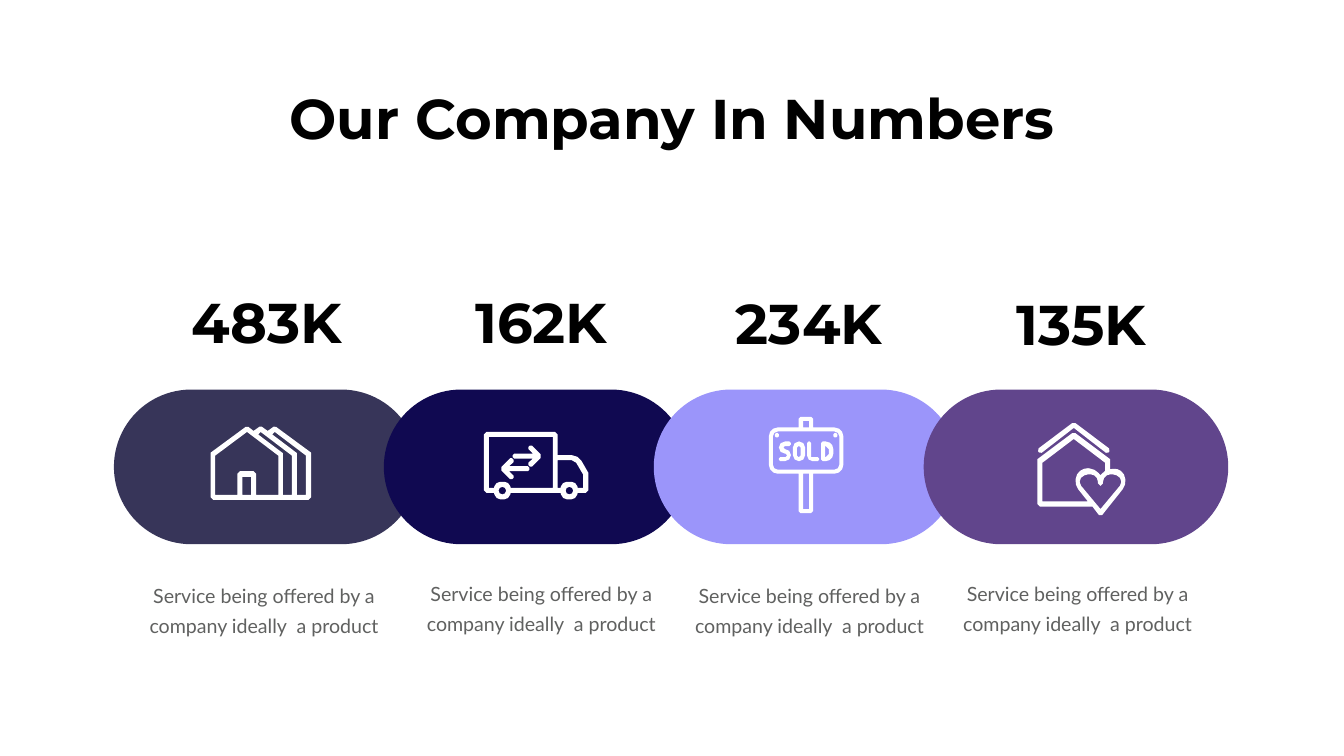
import math
import pptx
import pptx.dml.color
import pptx.enum.shapes
import pptx.enum.text
import pptx.util

Pt = pptx.util.Pt
HUES = {
    "slate": "373559", "navy": "100951", "lilac": "9B95FA", "plum": "61458C",
    "white": "FFFFFF", "black": "000000", "gray": "606160",
}
HEAD = {"size": Pt(80), "name": "Montserrat", "bold": True}
BODY = {"size": Pt(28), "name": "Lato", "bold": False}
UNIT = 0.72
FINE = 10


def box(left, top, right, low, bend=0):
    return [(left, top, bend), (right, top, bend), (right, low, bend), (left, low, bend)]


def trace(ring):
    dots = []
    for i, (x, y, *bend) in enumerate(ring):
        size = bend[0] if bend else 0
        ends = []
        for near in (ring[i - 1], ring[(i + 1) % len(ring)]):
            dx, dy = near[0] - x, near[1] - y
            part = size / math.hypot(dx, dy)
            ends.append((dx * part, dy * part))
        count = 1 + int(size // 7)
        for step in range(count + 1 if size else 1):
            t = step / count
            a = (1 - t) ** 3 + 1.35 * t * (1 - t) ** 2
            b = t ** 3 + 1.35 * t ** 2 * (1 - t)
            dot = tuple(round(FINE * (base + a * p + b * q))
                        for base, p, q in zip((x, y), *ends))
            if dot not in dots:
                dots.append(dot)
    return dots


deck = pptx.Presentation()
deck.slide_width, deck.slide_height = Pt(1919.52), Pt(1080)
slide = deck.slides.add_slide(deck.slide_layouts[6])
shapes = slide.shapes

for i, hue in enumerate(["slate", "navy", "lilac", "plum"]):
    pill = shapes.add_shape(pptx.enum.shapes.MSO_SHAPE.ROUNDED_RECTANGLE,
                            Pt(162.72 + i * 385.5), Pt(556.5), Pt(435), Pt(221))
    pill.adjustments[0] = 0.5
    pill.shadow.inherit = False
    pill.fill.solid()
    pill.fill.fore_color.rgb = pptx.dml.color.RGBColor.from_string(HUES[hue])
    pill.line.fill.background()

house = [
    [(418, 992, 5), (418, 898), (490, 845, 3), (503, 855), (517, 845, 3),
     (531, 855), (545, 845, 3), (617, 898), (617, 992, 5)],
    [(508, 982), (508, 935, 5), (471, 935, 5), (471, 982), (427, 982),
     (427, 904), (490, 857), (552, 904), (552, 982)],
    box(481, 946, 498, 982),
]
for dx in (0, 28):
    house.append([(561 + dx, 982), (561 + dx, 899), (512 + dx, 862),
                  (517 + dx, 857), (579 + dx, 904), (579 + dx, 982)])

truck = [
    [(960, 857, 5), (1106, 857, 5), (1106, 903), (1147, 903, 13), (1167, 938),
     (1167, 978, 5), (1146, 978), (1143, 991, 10), (1115, 991, 10), (1112, 978),
     (1013, 978), (1010, 991, 10), (983, 991, 10), (980, 978), (960, 978, 5)],
    [(970, 867), (1097, 867), (1097, 968), (1013, 968), (1010, 956, 9),
     (983, 956, 9), (980, 968), (970, 968)],
    [(1157, 968), (1146, 968), (1143, 956, 9), (1115, 956, 9), (1112, 968),
     (1106, 968), (1106, 913), (1140, 913, 6), (1157, 942)],
    box(989, 966, 1004, 981, 7.5),
    box(1122, 966, 1137, 981, 7.5),
]
right = [(1017, 910, 3), (1057, 910), (1046, 920, 3), (1053, 928, 3), (1076, 905, 5),
         (1053, 882, 3), (1046, 889, 3), (1057, 900), (1017, 900, 3)]
left = [(2067 - x, 1835 - y, *bend) for x, y, *bend in right]

sign = [
    [(1525, 848, 18), (1584, 848), (1584, 827, 4), (1613, 827, 4), (1613, 848),
     (1673, 848, 18), (1673, 940, 18), (1613, 940), (1613, 1018, 4),
     (1584, 1018, 4), (1584, 940), (1525, 940, 18)],
    box(1593, 940, 1605, 1010),
    box(1593, 835, 1605, 848),
    box(1533, 856, 1665, 932, 10),
]
nails = [[box(x, 859, x + 8, 868, 2.5)] for x in (1537, 1653)]
glyphs = [
    [[(1569, 885, 3), (1569, 876, 3), (1545, 876, 12), (1545, 900, 12),
      (1561, 900, 3), (1561, 907, 3), (1545, 907, 3), (1545, 915, 3),
      (1569, 915, 12), (1569, 891, 12), (1554, 891, 3), (1554, 885, 3)]],
    [box(1573, 876, 1597, 915, 11.5), box(1581, 885, 1588, 907, 3)],
    [[(1601, 876, 3), (1609, 876, 3), (1609, 907), (1625, 907, 3),
      (1625, 915, 3), (1601, 915, 11)]],
    [[(1629, 876, 3), (1653, 876, 15), (1653, 915, 15), (1629, 915, 3)],
     [(1637, 885), (1644, 885, 6), (1644, 907, 6), (1637, 907)]],
]

roof = [[(2063, 901, 4), (2057, 892, 4), (2130, 837, 4), (2203, 892, 4),
         (2197, 901, 4), (2130, 849)]]
home = [
    [(2058, 1005, 5), (2058, 911), (2130, 857, 4), (2202, 911), (2202, 931),
     (2222, 928, 14), (2238, 957, 17), (2183, 1026, 5), (2167, 1005)],
    [(2068, 918), (2130, 871), (2192, 918), (2192, 934), (2183, 943),
     (2172, 930, 11), (2144, 928, 14), (2128, 957, 17), (2158, 995), (2068, 995)],
    [(2183, 1010), (2228, 956, 10), (2216, 941, 9), (2188, 941, 15), (2188, 964, 5),
     (2178, 964, 5), (2178, 941, 15), (2150, 941, 9), (2138, 956, 10)],
]

for icon in ([house], [truck, [right], [left]], [sign, *nails, *glyphs], [roof, home]):
    parts = []
    for rings in icon:
        first, *rest = [trace(ring) for ring in rings]
        pen = shapes.build_freeform(*first[0], scale=Pt(UNIT) / FINE)
        pen.add_line_segments(first[1:], close=True)
        for dots in rest:
            pen.move_to(*dots[0])
            pen.add_line_segments(dots[1:], close=True)
        part = pen.convert_to_shape()
        part.shadow.inherit = False
        part.fill.solid()
        part.fill.fore_color.rgb = pptx.dml.color.RGBColor.from_string(HUES["white"])
        part.line.fill.background()
        parts.append(part)
    if len(parts) > 1:
        shapes.add_group_shape(parts)

texts = [("Our Company In Numbers", 358.5, 116, 1203, 104.5, HEAD, "black")]
for word, x, y in [("483K", 252, 407), ("162K", 643.7, 407),
                   ("234K", 1026, 408.5), ("135K", 1414.8, 410.5)]:
    texts.append((word, x, y, 259, 104.5, HEAD, "black"))
for x, y in [(193, 816), (589, 813.5), (972, 816), (1355, 813.5)]:
    texts.append(("Service being offered by a company ideally  a product",
                  x, y, 368, 99.5, BODY, "gray"))

for words, x, y, wide, high, style, hue in texts:
    frame = shapes.add_textbox(Pt(x), Pt(y), Pt(wide), Pt(high)).text_frame
    frame.word_wrap = True
    line = frame.paragraphs[0]
    line.alignment = pptx.enum.text.PP_ALIGN.CENTER
    if style is BODY:
        pads = {"margin_left": 17.3, "margin_right": 17.3,
                "margin_top": 8.6, "margin_bottom": 8.6}
        for key, size in pads.items():
            setattr(frame, key, Pt(size))
        line.line_spacing = Pt(43)
    run = line.add_run()
    run.text = words
    for key, value in style.items():
        setattr(run.font, key, value)
    run.font.color.rgb = pptx.dml.color.RGBColor.from_string(HUES[hue])

deck.save("out.pptx")
